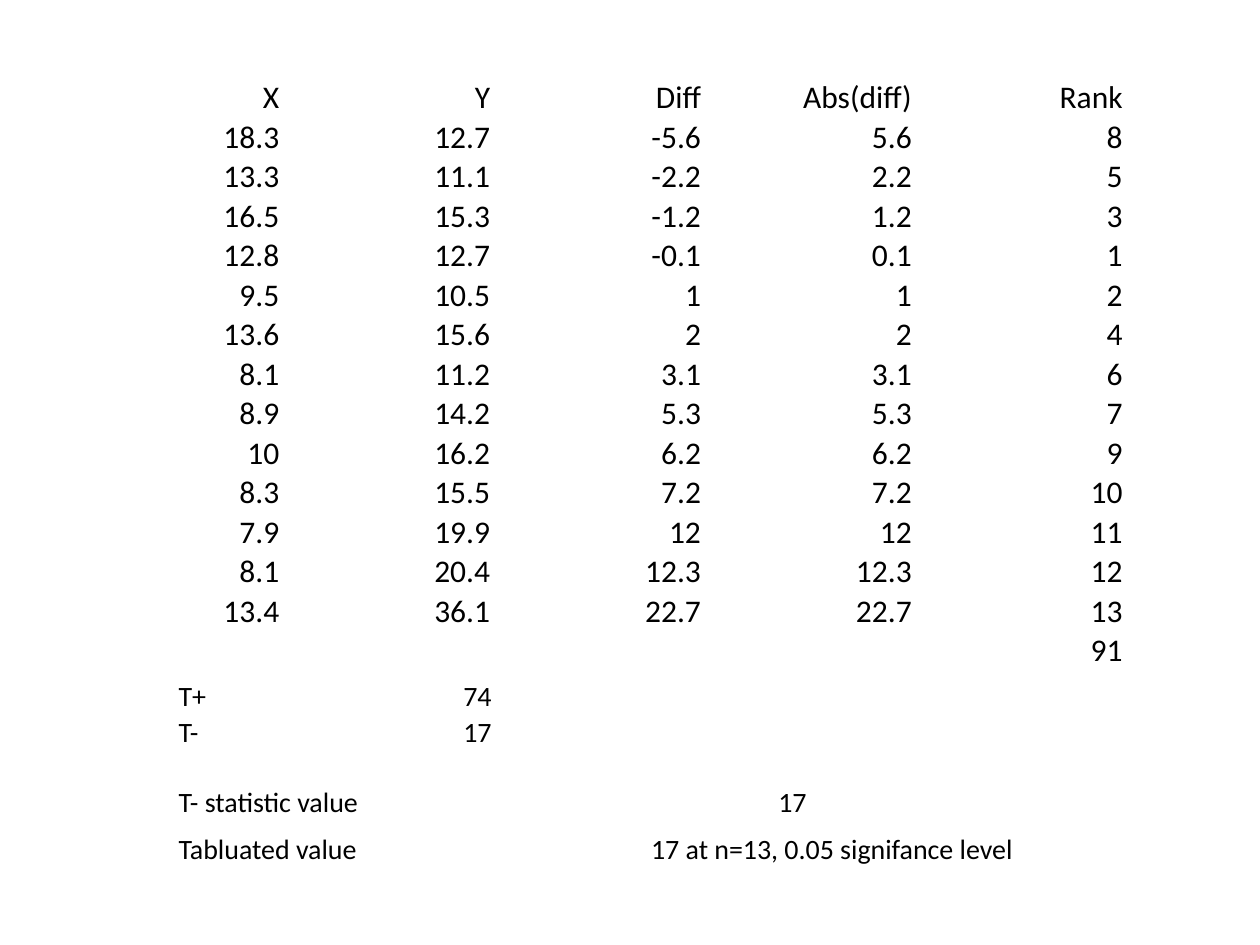
from lxml import etree
from pptx import Presentation
from pptx import util as u
from pptx.dml.color import RGBColor
from pptx.enum import text
from pptx.oxml import ns

THEME = {"font": "Calibri", "ink": RGBColor(0, 0, 0), "ranks": 18, "summary": 16}
LEFT, RIGHT = text.PP_ALIGN.LEFT, text.PP_ALIGN.RIGHT

# Content: paired observations, with their signed-rank working
ranking = [
    ("X", "Y", "Diff", "Abs(diff)", "Rank"),
    ("18.3", "12.7", "-5.6", "5.6", "8"),
    ("13.3", "11.1", "-2.2", "2.2", "5"),
    ("16.5", "15.3", "-1.2", "1.2", "3"),
    ("12.8", "12.7", "-0.1", "0.1", "1"),
    ("9.5", "10.5", "1", "1", "2"),
    ("13.6", "15.6", "2", "2", "4"),
    ("8.1", "11.2", "3.1", "3.1", "6"),
    ("8.9", "14.2", "5.3", "5.3", "7"),
    ("10", "16.2", "6.2", "6.2", "9"),
    ("8.3", "15.5", "7.2", "7.2", "10"),
    ("7.9", "19.9", "12", "12", "11"),
    ("8.1", "20.4", "12.3", "12.3", "12"),
    ("13.4", "36.1", "22.7", "22.7", "13"),
    ("", "", "", "", "91"),
]

# Content: test result
summary = [
    ("T+", "74", "", "", "", ""),
    ("T-", "17", "", "", "", ""),
    ("", "", "", "", "", ""),
    ("T- statistic value", "", "", "17", "", ""),
    ("Tabluated value", "", "", "17 at n=13, 0.05 signifance level", "", ""),
]
summary_spans = [(3, 0, 2), (4, 0, 1), (4, 3, 5)]  # row, first column, last column


def align_of(value):
    """Words in the summary start at the left, numbers end at the right."""
    return RIGHT if value.isdigit() else LEFT


def add_grid(slide, rows, box, row_heights, size, align, spans=()):
    left, top, width, height = map(u.Cm, box)
    frame = slide.shapes.add_table(len(rows), len(rows[0]), left, top, width, height)
    grid = frame.table
    grid.first_row = grid.horz_banding = False
    for row, row_height in zip(grid.rows, row_heights):
        row.height = u.Cm(row_height)
    frame.height = height

    for r, values in enumerate(rows):
        for c, value in enumerate(values):
            cell = grid.cell(r, c)
            cell.fill.background()
            cell.vertical_anchor = text.MSO_ANCHOR.BOTTOM
            cell.margin_left = cell.margin_right = cell.margin_top = u.Cm(0.02)
            cell.margin_bottom = 0
            paragraph = cell.text_frame.paragraphs[0]
            paragraph.alignment = align(value)
            paragraph.font.name = THEME["font"]
            paragraph.font.size = u.Pt(size)
            paragraph.font.color.rgb = THEME["ink"]
            if value:
                paragraph.add_run().text = value
            else:  # an empty cell keeps the row's type size
                etree.SubElement(paragraph._p, ns.qn("a:endParaRPr"), sz=str(size * 100))

    for r, first, last in spans:
        grid.cell(r, first).merge(grid.cell(r, last))


deck = Presentation()
deck.slide_width, deck.slide_height = u.Cm(25.4), u.Cm(19.05)
slide = deck.slides.add_slide(deck.slide_layouts[6])

# Ranked differences
add_grid(slide, ranking, (1.4, 1.57, 21.25, 11.73), [0.64] * len(ranking),
         THEME["ranks"], lambda value: RIGHT)

# Rank sums and comparison with the tabulated value
add_grid(slide, summary, (3.58, 13.69, 19.05, 3.73), [0.51] * 4 + [0.94],
         THEME["summary"], align_of, summary_spans)

deck.save("out.pptx")
